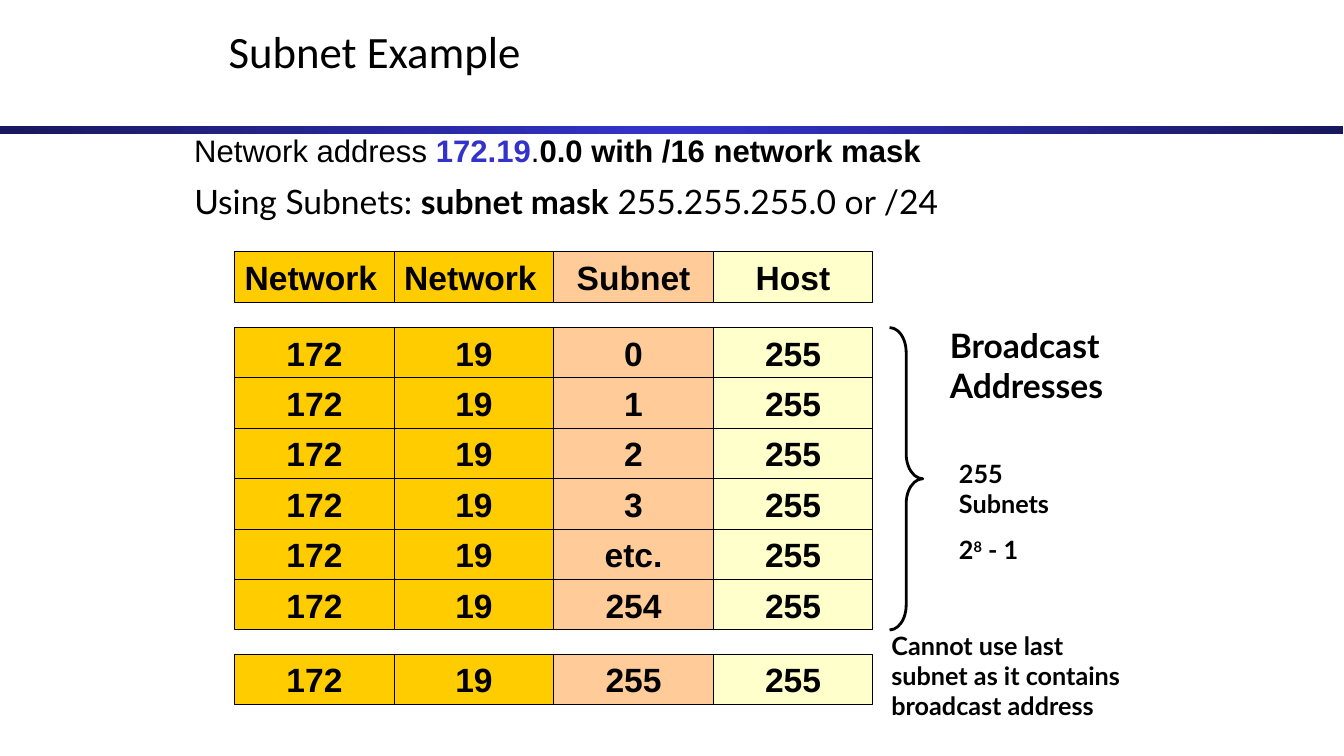
from copy import deepcopy

from pptx import Presentation
from pptx.dml.color import RGBColor
from pptx.enum.shapes import MSO_SHAPE as Shape
from pptx.enum.text import MSO_ANCHOR as Anchor, PP_ALIGN as Align
from pptx.oxml.ns import qn
from pptx.util import Inches, Pt

BLACK = RGBColor(0x00, 0x00, 0x00)
BLUE = RGBColor(0x33, 0x33, 0xCC)
NAVY = RGBColor(0x18, 0x18, 0x5E)
GOLD = RGBColor(0xFF, 0xCC, 0x00)
PEACH = RGBColor(0xFF, 0xCC, 0x99)
CREAM = RGBColor(0xFF, 0xFF, 0xCC)

COLUMN_FILLS = (GOLD, GOLD, PEACH, CREAM)
GRID_LEFT = 2.33
OCTET_WIDTH = 9.5 / 6
ROW_HEIGHT = 0.5
HEADER_TOP, USABLE_TOP, LAST_TOP = 2.5, 3.25, 6.49
HEADINGS = ("Network", "Network", "Subnet", "Host")
USABLE_SUBNETS = ("0", "1", "2", "3", "etc.", "254")


def write(frame, *paragraphs, font="Lato", size=24, bold=False, align=Align.LEFT,
          anchor=Anchor.TOP, space_before=0, line_spacing=None):
    """Fill a frame; a paragraph is a list of (text, run overrides) pairs."""
    frame.word_wrap = True
    frame.vertical_anchor = anchor
    frame.margin_left = frame.margin_right = Inches(0.1)
    frame.margin_top = frame.margin_bottom = Inches(0.05)
    for index, pieces in enumerate(paragraphs):
        paragraph = frame.add_paragraph() if index else frame.paragraphs[0]
        paragraph.alignment = align
        paragraph.space_before = Pt(space_before)
        paragraph.line_spacing = line_spacing
        for text, override in pieces:
            run = paragraph.add_run()
            run.text = text
            run.font.name = font
            run.font.size = Pt(size)
            run.font.bold = override.get("bold", bold)
            run.font.color.rgb = override.get("color", BLACK)
            if "baseline" in override:
                run.font._element.set("baseline", str(override["baseline"]))


def add_label(slide, left, top, width, height, *paragraphs, **style):
    label = slide.shapes.add_textbox(Inches(left), Inches(top), Inches(width), Inches(height))
    write(label.text_frame, *paragraphs, **style)


def add_title_rule(slide):
    rule = slide.shapes.add_shape(Shape.RECTANGLE, 0, Inches(1.25), Inches(13.33), Inches(0.08))
    rule.shadow.inherit = False
    rule.line.fill.background()
    rule.fill.gradient()
    rule.fill.gradient_angle = 0
    stop_list = rule._element.spPr.find(qn("a:gradFill")).find(qn("a:gsLst"))
    stop_list.append(deepcopy(stop_list[0]))
    for stop, position, color in zip(rule.fill.gradient_stops, (0, 0.5, 1), (NAVY, BLUE, NAVY)):
        stop.position = position
        stop.color.rgb = color


def add_address_row(slide, top, octets, aligns=(Align.CENTER,) * 4):
    row = slide.shapes.add_group_shape()
    for column, (octet, color, align) in enumerate(zip(octets, COLUMN_FILLS, aligns)):
        cell = row.shapes.add_shape(
            Shape.RECTANGLE, Inches(GRID_LEFT + column * OCTET_WIDTH), Inches(top),
            Inches(OCTET_WIDTH), Inches(ROW_HEIGHT))
        cell.shadow.inherit = False
        cell.fill.solid()
        cell.fill.fore_color.rgb = color
        cell.line.color.rgb = BLACK
        cell.line.width = Pt(0.75)
        write(cell.text_frame, [(octet, {})], font="Arial", bold=True, align=align)


def add_brace(slide):
    brace = slide.shapes.add_shape(
        Shape.RIGHT_BRACE, Inches(8.83), Inches(USABLE_TOP), Inches(0.33),
        Inches(ROW_HEIGHT * len(USABLE_SUBNETS)))
    brace.adjustments[0] = 0.75
    brace.shadow.inherit = False
    brace.fill.background()
    brace.line.color.rgb = BLACK
    brace.line.width = Pt(2)


def main():
    deck = Presentation()
    deck.slide_width, deck.slide_height = Inches(13.34), Inches(7.5)
    slide = deck.slides.add_slide(deck.slide_layouts[6])

    add_title_rule(slide)
    add_label(slide, 2.17, 0.24, 7.69, 0.52, [("Subnet Example", {})],
              font="Calibri", size=32, anchor=Anchor.MIDDLE)
    add_label(slide, 1.83, 1.33, 9.33, 0.42,
              [("Network address ", {}), ("172.19", {"bold": True, "color": BLUE}),
               (".", {}), ("0.0 with /16 network mask", {"bold": True})],
              font="Arial", size=22.2, line_spacing=0.8)
    add_label(slide, 1.83, 1.75, 7.92, 0.9,
              [("Using Subnets: ", {}), ("subnet mask", {"bold": True}),
               (" 255.255.255.0 or /24", {})])

    add_address_row(slide, HEADER_TOP, HEADINGS,
                    (Align.LEFT, Align.LEFT, Align.CENTER, Align.CENTER))
    for index, subnet in enumerate(USABLE_SUBNETS):
        add_address_row(slide, USABLE_TOP + index * ROW_HEIGHT, ("172", "19", subnet, "255"))
    add_address_row(slide, LAST_TOP, ("172", "19", "255", "255"))

    add_brace(slide)
    add_label(slide, 9.33, 3.17, 2.17, 0.9, [("Broadcast Addresses", {})], bold=True)
    add_label(slide, 9.42, 4.5, 1.58, 1.16, [("255 Subnets", {})],
              [("2", {}), ("8", {"baseline": 30000}), (" - 1", {})],
              size=18, bold=True, space_before=11.2)
    add_label(slide, 8.75, 6.2, 2.67, 1.3,
              [("Cannot use last subnet as it contains broadcast address", {})],
              size=18, bold=True)
    deck.save("out.pptx")


if __name__ == "__main__":
    main()
